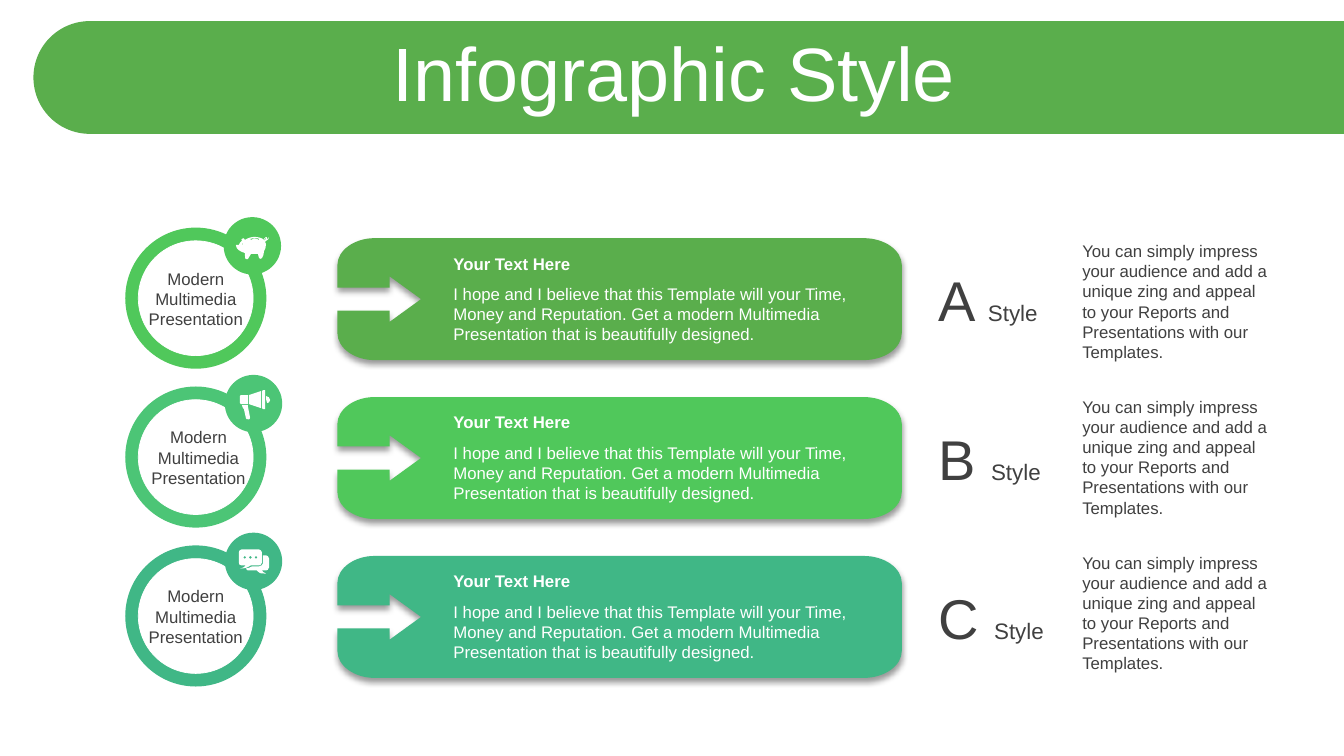
from dataclasses import dataclass

from lxml import etree
from pptx import Presentation
from pptx.dml.color import RGBColor
from pptx.enum import shapes, text
from pptx.oxml.ns import qn
from pptx.util import Pt


@dataclass(frozen=True)
class Theme:
    font: str = "Arial"
    white: str = "FFFFFF"
    ink: str = "404040"
    leaf: str = "5AAE4C"
    lime: str = "50C85B"
    mint: str = "4CC576"
    teal: str = "40B786"
    title: int = 54
    letter: int = 40
    style: int = 16
    body: int = 12


theme = Theme()

# Outlines in hundredths of an inch: M move, L line, C curve, Z close.
PIG = """M 7 6 C 6 6 6 7 6 7 C 6 8 6 8 7 8 C 7 8 7 8 7 7 C 7 7 7 6 7 6 Z
M 30 1 C 29 1 29 1 29 2 C 29 2 29 3 30 3 C 30 3 30 2 30 2 C 30 1 30 1 30 1 Z
M 19 1 C 17 1 16 1 14 2 L 15 3 C 17 1 20 1 23 3 L 23 2 C 22 1 20 1 19 1 Z
M 18 0 C 22 0 26 1 28 3 L 28 4 C 29 4 29 4 29 3 C 28 3 28 3 28 2
C 28 1 29 0 30 0 C 31 0 31 1 31 2 C 31 2 31 2 31 2 C 31 2 32 3 33 0
C 33 2 32 3 30 4 C 30 4 30 5 29 5 C 29 5 29 5 29 5 L 30 7
C 30 10 29 13 28 14 C 28 17 27 19 26 21
C 26 22 23 22 23 21 C 23 20 22 18 22 17 C 20 17 17 17 15 17
C 14 19 13 20 12 22 L 10 22 C 9 22 9 18 9 16 C 6 15 0 13 0 8
C 0 8 2 8 3 8 C 4 6 4 5 6 4 C 6 3 5 2 6 2 C 8 0 8 2 9 3 C 12 1 16 0 18 0 Z"""
MEGAPHONE = """M 8 15 L 8 16 C 8 17 8 17 8 17 L 10 27 C 10 28 10 29 9 29
L 8 29 C 7 29 6 29 6 28 L 4 19 C 3 19 3 18 3 18 L 2 15 Z
M 26 6 C 28 6 30 8 30 10 C 30 12 28 13 27 13 C 26 11 26 9 26 6 Z
M 1 5 L 8 5 L 8 14 L 1 14 C 0 14 0 14 0 13 L 0 6 C 0 5 0 5 1 5 Z
M 21 1 L 21 18 L 9 14 L 9 5 Z
M 23 0 L 25 0 C 25 0 25 1 25 1 L 25 18 C 25 18 25 19 25 19 L 23 19
C 22 19 22 18 22 18 L 22 1 C 22 1 22 0 23 0 Z"""
CHAT = ""
for dot in (17, 11.5, 6):
    left, right = dot - 1.5, dot + 1.5
    CHAT += (f"M {dot} 6.5 C {dot - 0.8} 6.5 {left} 7.2 {left} 8 "
             f"C {left} 8.8 {dot - 0.8} 9.5 {dot} 9.5 "
             f"C {dot + 0.8} 9.5 {right} 8.8 {right} 8 "
             f"C {right} 7.2 {dot + 0.8} 6.5 {dot} 6.5 Z ")
CHAT += """M 24 6 L 27 6 C 28 6 30 7 30 9 L 30 18 C 30 20 28 21 27 21 L 23 21
C 24 22 24 23 27 24 C 21 24 21 24 18 21 L 10 21 C 9 21 8 21 7 19
C 9 19 11 18 13 17 L 20 17 C 22 17 24 15 24 14 L 24 6 Z
M 3 0 L 20 0 C 21 0 23 2 23 3 L 23 13 C 23 15 21 16 20 16 L 12 16
C 9 18 7 19 1 19 C 5 18 5 18 7 16 L 3 16 C 1 16 0 15 0 13 L 0 3 C 0 2 1 0 3 0 Z"""
BANNER = """M 37 0 L 522 0 C 543 0 560 12 560 27 L 560 94 C 560 109 543 121 522 121
L 37 121 C 17 121 0 109 0 94 L 0 72 L 52 72 L 52 83 L 83 60.5 L 52 38 L 52 49
L 0 49 L 0 27 C 0 12 17 0 37 0 Z"""

prs = Presentation()
prs.slide_width, prs.slide_height = Pt(960), Pt(540)
slide = prs.slides.add_slide(prs.slide_layouts[6])


def draw(kind, x, y, width, height, color):
    """Add a filled preset shape, or an outline when kind is a path string."""
    if isinstance(kind, str):
        builder, curve_starts, count = None, [], 0
        for contour in kind.split("Z")[:-1]:
            points = []
            for step in contour.replace("L", "M").replace("C", "M").split("M")[1:]:
                n = [float(v) * 72 for v in step.split()]
                if len(n) == 6:
                    curve_starts.append(count + len(points))
                points += zip(n[::2], n[1::2])
            if builder is None:
                builder = slide.shapes.build_freeform(*points[0], scale=127)
            else:
                builder.move_to(*points[0])
            builder.add_line_segments(points[1:], close=False)
            builder.add_line_segments([], close=True)
            count += len(points) + 1
        shape = builder.convert_to_shape(Pt(x), Pt(y))
        steps = list(shape._element.spPr.find(".//" + qn("a:path")))
        for start in curve_starts:  # three consecutive points become one Bézier
            curve = etree.Element(qn("a:cubicBezTo"))
            steps[start].addprevious(curve)
            for line in steps[start:start + 3]:
                curve.append(line[0])
                line.getparent().remove(line)
    else:
        shape = slide.shapes.add_shape(kind, Pt(x), Pt(y), Pt(width), Pt(height))
    shape.shadow.inherit = False
    shape.fill.solid()
    shape.fill.fore_color.rgb = RGBColor.from_string(color)
    shape.line.fill.background()
    return shape


def write(x, y, width, height, runs, color, align="LEFT", anchor="TOP", bold=False):
    """Add a one-paragraph text box from (words, size) runs."""
    frame = slide.shapes.add_textbox(Pt(x), Pt(y), Pt(width), Pt(height)).text_frame
    frame.word_wrap = True
    frame.vertical_anchor = text.MSO_ANCHOR[anchor]
    paragraph = frame.paragraphs[0]
    paragraph.alignment = text.PP_ALIGN[align]
    for words, size in runs:
        run = paragraph.add_run()
        run.text = words
        run.font.name, run.font.size, run.font.bold = theme.font, Pt(size), bold
        run.font.color.rgb = RGBColor.from_string(color)
    return paragraph


preset = shapes.MSO_SHAPE
title_bar = draw(preset.ROUND_2_SAME_RECTANGLE, 451.6, -412.7, 80.6, 936, theme.leaf)
title_bar.rotation = 270
title_bar.adjustments[0], title_bar.adjustments[1] = 0.5, 0
title = write(25.6, 26.6, 911.5, 56.9, [("Infographic Style", theme.title)],
              theme.white, "CENTER", "MIDDLE")
title.line_spacing = 0.9

# letter, ring colour, banner colour, caption x, badge x, icon, icon x, icon y
rows = [
    ("A", theme.lime, theme.leaf, 98.9, 159.8, PIG, 168.5, 169.2),
    ("B", theme.mint, theme.lime, 100.8, 160.6, MEGAPHONE, 171.4, 278.6),
    ("C", theme.teal, theme.teal, 98.8, 160.6, CHAT, 170.6, 392.4),
]
for i, (letter, ring, banner_color, caption_x, badge_x, icon, icon_x, icon_y) in enumerate(rows):
    top = 162.6 + 113.5 * i
    draw(preset.OVAL, 89.5, top, 100.8, 100.8, ring)
    disc = draw(preset.OVAL, 98.8, top + 9.4, 82, 82, theme.white)
    disc.line.color.rgb = RGBColor.from_string(theme.white)
    disc.line.width = Pt(0.5)
    write(caption_x, top + 25.5, 82.1, 51, [("Modern Multimedia Presentation", theme.body)],
          theme.ink, "CENTER")
    draw(preset.OVAL, badge_x, 155.1 + 112.7 * i, 41, 41, ring)
    draw(icon, icon_x, icon_y, 0, 0, theme.white)

    banner = draw(BANNER, 241, top + 7.5, 0, 0, banner_color)
    effects = banner._element.spPr.find(qn("a:effectLst"))
    shadow = etree.SubElement(effects, qn("a:outerShdw"), blurRad="50800", dist="38100",
                              dir="5400000", algn="t", rotWithShape="0")
    black = etree.SubElement(shadow, qn("a:srgbClr"), val="000000")
    etree.SubElement(black, qn("a:alpha"), val="40000")
    write(316.8, top + 36.4, 304.6, 51, [(
        "I hope and I believe that this Template will your Time, Money and Reputation. "
        "Get a modern Multimedia Presentation that is beautifully designed.", theme.body)],
        theme.white)
    write(316.8, top + 14.8, 304.6, 21.6, [("Your Text Here", theme.body)],
          theme.white, bold=True)

    write(663.1, top + 23.2, 113, 55.4, [(letter + " ", theme.letter), ("Style", theme.style)],
          theme.ink, anchor="BOTTOM")
    write(766, 168.5 + 111.2 * i, 149, 94.3, [(
        "You can simply impress your audience and add a unique zing and appeal "
        "to your Reports and Presentations with our Templates.", theme.body)], theme.ink)

prs.save("out.pptx")
